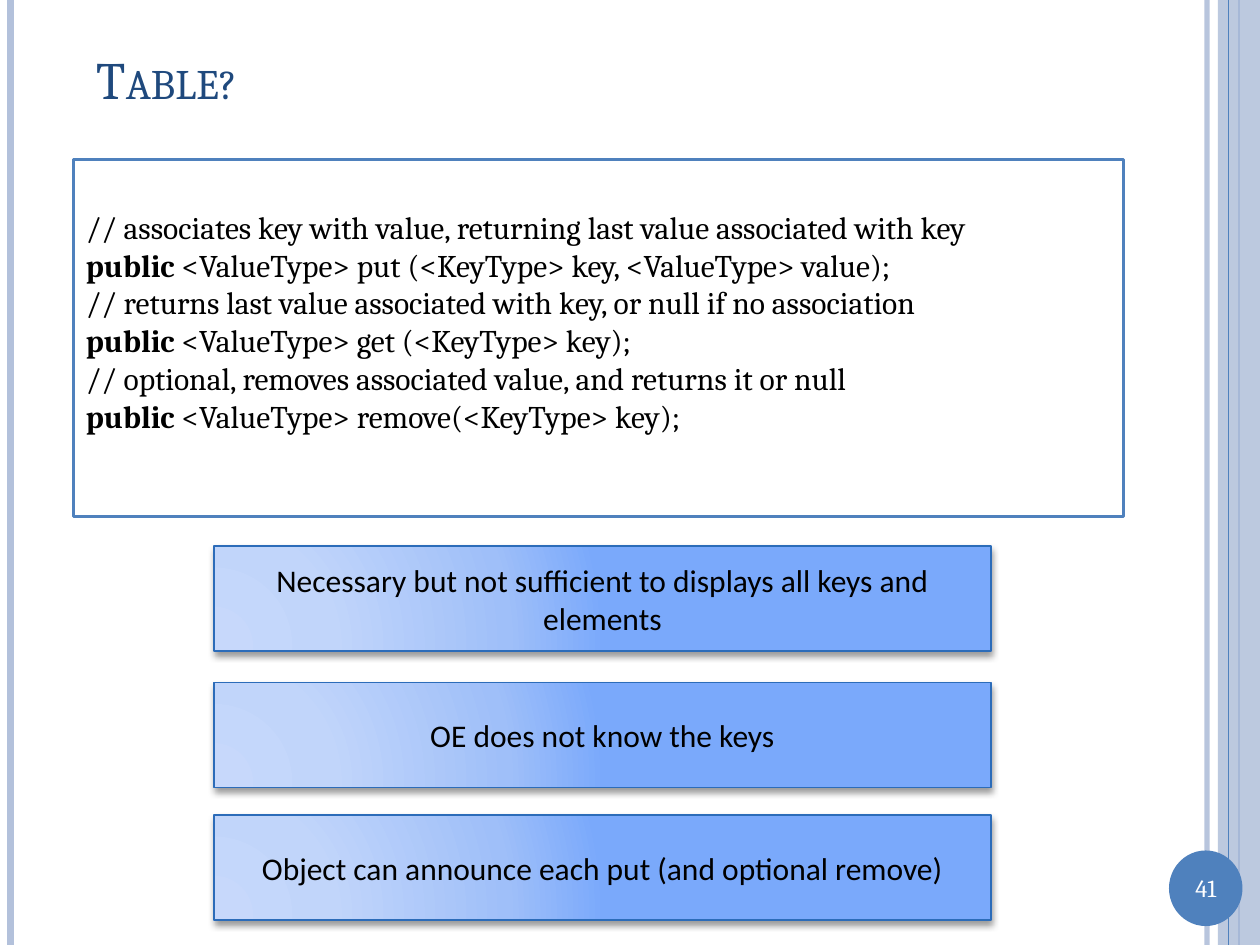
from dataclasses import dataclass

from pptx import Presentation
from pptx.dml.color import RGBColor
from pptx.enum.shapes import MSO_CONNECTOR as Connector, MSO_SHAPE as Preset
from pptx.enum.text import MSO_ANCHOR as Anchor, MSO_AUTO_SIZE as AutoSize, PP_ALIGN as Align
from pptx.oxml import parse_xml
from pptx.oxml.ns import nsdecls, qn
from pptx.util import Pt


@dataclass(frozen=True)
class Theme:
    serif: str = "Cambria"
    sans: str = "Calibri"
    title_size: float = 30
    text_size: float = 18
    number_size: float = 14
    title: str = "1F497D"
    text: str = "000000"
    white: str = "FFFFFF"
    accent: str = "4F81BD"
    pale: str = "B3C1DB"
    note_line: str = "2C6CB9"
    note_stops: tuple = ((0, "C7D8FB"), (30, "C1D5FA"), (75, "9FBFF9"), (100, "7AA9FB"))


@dataclass(frozen=True)
class Area:
    left: float
    top: float
    width: float
    height: float

    def lengths(self) -> list:
        return [Pt(n) for n in (self.left, self.top, self.width, self.height)]


@dataclass(frozen=True)
class Stripe:
    x: float
    color: str
    weight: float
    opacity: int = 100


@dataclass(frozen=True)
class Note:
    top: float
    text: str


@dataclass(frozen=True)
class Method:
    comment: str
    signature: str


THEME = Theme()
PAGE = Area(0, 0, 720, 540)
STRIPES = (
    Stripe(689.75, THEME.pale, 3, 93),
    Stripe(6, THEME.pale, 4.5),
    Stripe(708, THEME.accent, 1.5),
    Stripe(702, THEME.accent, 0.75),
)
METHODS = (
    Method("// associates key with value, returning last value associated with key",
           " <ValueType> put (<KeyType> key, <ValueType> value);"),
    Method("// returns last value associated with key, or null if no association",
           " <ValueType> get (<KeyType> key);"),
    Method("// optional, removes associated value, and returns it or null",
           " <ValueType> remove(<KeyType> key);"),
)
NOTES = (
    Note(312, "Necessary but not sufficient to displays all keys and elements"),
    Note(390, "OE does not know the keys"),
    Note(465.75, "Object can announce each put (and optional remove)"),
)


def rgb(color: str) -> RGBColor:
    return RGBColor.from_string(color)


def set_opacity(fill_element, percent: int) -> None:
    color = fill_element.find(qn("a:srgbClr"))
    color.append(parse_xml(f'<a:alpha {nsdecls("a")} val="{percent * 1000}"/>'))


def add_span(para, text: str, font: str, size: float, color: str, bold: bool = False):
    span = para.add_run()
    span.text = text
    span.font.name = font
    span.font.size = Pt(size)
    span.font.color.rgb = rgb(color)
    span.font.bold = bold
    return span


def add_stripe(page, stripe: Stripe) -> None:
    line = page.shapes.add_connector(
        Connector.STRAIGHT, Pt(stripe.x), 0, Pt(stripe.x), Pt(PAGE.height))
    line.line.color.rgb = rgb(stripe.color)
    line.line.width = Pt(stripe.weight)
    properties = line._element.spPr
    properties.append(parse_xml(f'<a:effectLst {nsdecls("a")}/>'))
    if stripe.opacity < 100:
        set_opacity(properties.find(qn("a:ln")).find(qn("a:solidFill")), stripe.opacity)


def add_box(page, preset, area: Area, fill: str, line: str = "", weight: float = 0):
    box = page.shapes.add_shape(preset, *area.lengths())
    box.shadow.inherit = False
    box.fill.solid()
    box.fill.fore_color.rgb = rgb(fill)
    if line:
        box.line.color.rgb = rgb(line)
        box.line.width = Pt(weight)
    else:
        box.line.fill.background()
    box.text_frame.word_wrap = True
    return box


def add_title(page, text: str) -> None:
    title = page.shapes.title
    title.left, title.top, title.width, title.height = Area(48, 0, 612, 90).lengths()
    frame = title.text_frame
    frame.auto_size = AutoSize.NONE
    frame.vertical_anchor = Anchor.MIDDLE
    para = frame.paragraphs[0]
    para.alignment = Align.LEFT
    span = add_span(para, text, THEME.serif, THEME.title_size, THEME.title)
    span.font._element.set("cap", "small")


def add_code(page, methods: tuple[Method, ...]) -> None:
    box = add_box(page, Preset.RECTANGLE, Area(42, 91.25, 600, 204), THEME.white, THEME.accent, 2)
    frame = box.text_frame
    frame.vertical_anchor = Anchor.TOP
    frame.margin_top = Pt(27.5)
    style = (THEME.serif, THEME.text_size, THEME.text)
    para = frame.paragraphs[0]
    for index, method in enumerate(methods):
        if index:
            para = frame.add_paragraph()
        para.alignment = Align.LEFT
        add_span(para, method.comment, *style)
        para = frame.add_paragraph()
        para.alignment = Align.LEFT
        add_span(para, "public", *style, bold=True)
        add_span(para, method.signature, *style)


def add_note(page, note: Note) -> None:
    box = add_box(page, Preset.RECTANGLE, Area(122.25, note.top, 444, 60),
                  THEME.white, THEME.note_line, 1)
    stops = "".join(f'<a:gs pos="{at * 1000}"><a:srgbClr val="{color}"/></a:gs>'
                    for at, color in THEME.note_stops)
    gradient = parse_xml(
        f'<a:gradFill {nsdecls("a")} rotWithShape="1"><a:gsLst>{stops}</a:gsLst>'
        '<a:path path="circle"><a:fillToRect l="5000" t="100000" r="120000" b="10000"/>'
        '</a:path></a:gradFill>')
    properties = box._element.spPr
    properties.replace(properties.find(qn("a:solidFill")), gradient)
    shadow = parse_xml(
        f'<a:outerShdw {nsdecls("a")} blurRad="{Pt(4)}" dist="{Pt(2)}" dir="5400000" '
        'rotWithShape="0"><a:srgbClr val="000000"><a:alpha val="40000"/></a:srgbClr></a:outerShdw>')
    properties.find(qn("a:effectLst")).append(shadow)
    frame = box.text_frame
    frame.vertical_anchor = Anchor.MIDDLE
    frame.margin_left = frame.margin_right = frame.margin_top = frame.margin_bottom = Pt(3.6)
    para = frame.paragraphs[0]
    para.alignment = Align.CENTER
    add_span(para, note.text, THEME.sans, THEME.text_size, THEME.text)


def add_page_number(page, number: str) -> None:
    add_box(page, Preset.OVAL, Area(668, 486, 42, 43.2), THEME.accent)
    label = page.shapes.add_textbox(*Area(668, 495.5, 42, 24.25).lengths())
    label.text_frame.word_wrap = True
    para = label.text_frame.paragraphs[0]
    para.alignment = Align.CENTER
    add_span(para, number, THEME.serif, THEME.number_size, THEME.white)


def main() -> None:
    deck = Presentation()
    deck.slide_width, deck.slide_height = Pt(PAGE.width), Pt(PAGE.height)
    page = deck.slides.add_slide(deck.slide_layouts[5])
    for stripe in STRIPES[:3]:
        add_stripe(page, stripe)
    band = add_box(page, Preset.RECTANGLE, Area(696, 0, 24, PAGE.height), THEME.pale)
    set_opacity(band._element.spPr.find(qn("a:solidFill")), 87)
    add_stripe(page, STRIPES[3])
    add_page_number(page, "41")
    add_title(page, "Table?")
    add_code(page, METHODS)
    for note in NOTES:
        add_note(page, note)
    deck.save("out.pptx")


if __name__ == "__main__":
    main()
